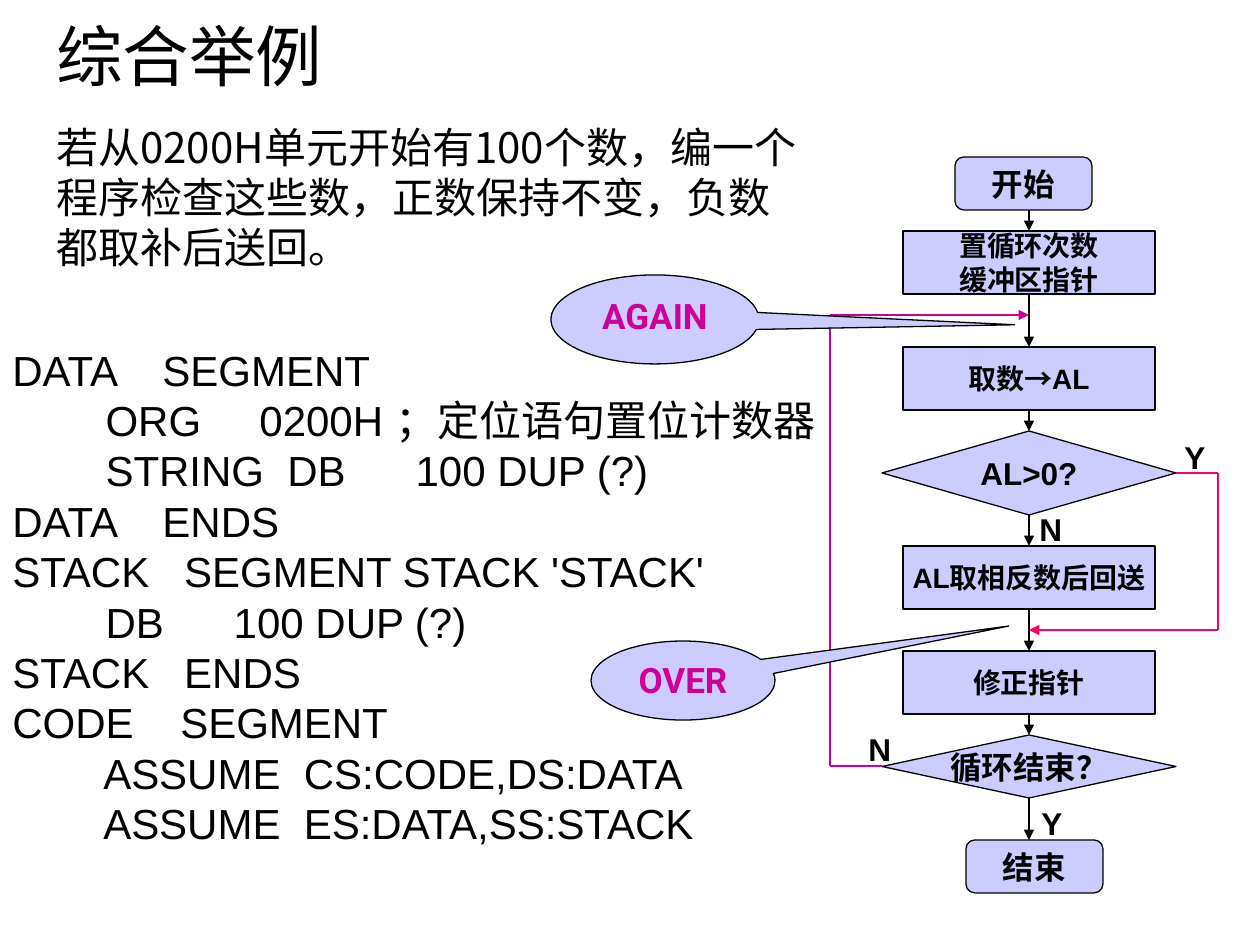
from itertools import pairwise

from lxml.etree import SubElement
from pptx import Presentation
from pptx.dml.color import RGBColor
from pptx.enum.shapes import MSO_CONNECTOR, MSO_SHAPE
from pptx.enum.text import MSO_ANCHOR, PP_ALIGN
from pptx.oxml.ns import qn
from pptx.util import Pt

PX = 914400 / 126
BLACK, LILAC, PURPLE, PINK = "000000", "CCCCFF", "CC0099", "FF0066"
CJK_FONT = "Noto Sans CJK JP"
AXIS = 1029

CODE = """DATA    SEGMENT
        ORG     0200H ；定位语句置位计数器
        STRING  DB      100 DUP (?)
DATA    ENDS
STACK   SEGMENT STACK 'STACK'
        DB      100 DUP (?)
STACK   ENDS
CODE    SEGMENT
        ASSUME  CS:CODE,DS:DATA
        ASSUME  ES:DATA,SS:STACK"""

TERMINAL = MSO_SHAPE.FLOWCHART_ALTERNATE_PROCESS
PROCESS = MSO_SHAPE.FLOWCHART_PROCESS
DECISION = MSO_SHAPE.FLOWCHART_DECISION

# kind, left, top, width, height, text, size
STEPS = [
    (TERMINAL, 955, 157, 137, 53, "开始", 18),
    (PROCESS, 903, 231, 252, 63, "置循环次数\n缓冲区指针", 16),
    (PROCESS, 903, 347, 252, 63, "取数→AL", 16),
    (DECISION, 882, 431, 294, 84, "AL>0?", 18),
    (PROCESS, 903, 546, 252, 63, "AL取相反数后回送", 16),
    (PROCESS, 903, 651, 252, 63, "修正指针", 16),
    (DECISION, 882, 735, 294, 63, "循环结束？", 18),
    (TERMINAL, 966, 840, 137, 53, "结束", 18),
]
LABELS = [("Y", 1172, 432), ("N", 1027, 504), ("N", 856, 724), ("Y", 1029, 798)]


def emu(*lengths):
    return [round(length * PX) for length in lengths]


def color(value):
    return RGBColor.from_string(value)


def write(shape, text, size, font="Arial", ink=BLACK, bold=False,
          align=PP_ALIGN.LEFT, anchor=MSO_ANCHOR.TOP, wrap=True):
    """Fill a shape with one paragraph per line of text."""
    frame = shape.text_frame
    frame.word_wrap = wrap
    frame.vertical_anchor = anchor
    for index, line in enumerate(text.split("\n")):
        para = frame.add_paragraph() if index else frame.paragraphs[0]
        para.alignment = align
        para.line_spacing = Pt(size * 1.2)
        span = para.add_run()
        span.text = line
        span.font.name = font
        span.font.size = Pt(size)
        span.font.bold = bold
        span.font.color.rgb = color(ink)
        SubElement(span.font._element, qn("a:ea"), typeface=CJK_FONT)


def add_text(page, text, left, top, width, height, **style):
    box = page.shapes.add_textbox(*emu(left, top, width, height))
    write(box, text, **style)


def add_node(page, kind, left, top, width, height):
    node = page.shapes.add_shape(kind, *emu(left, top, width, height))
    node.shadow.inherit = False
    node.fill.solid()
    node.fill.fore_color.rgb = color(LILAC)
    node.line.color.rgb = color(BLACK)
    node.line.width = Pt(0.75)
    return node


def add_route(page, points, ink=BLACK):
    """Join the points with straight lines, ending in an arrowhead."""
    for start, end in pairwise(points):
        line = page.shapes.add_connector(MSO_CONNECTOR.STRAIGHT, *emu(*start, *end))
        line.line.color.rgb = color(ink)
        line.line.width = Pt(0.75)
        properties = line._element.spPr
        SubElement(properties, qn("a:effectLst"))
    SubElement(properties.find(qn("a:ln")), qn("a:tailEnd"), type="triangle")


def add_callout(page, text, left, top, width, height, pointer):
    callout = add_node(page, MSO_SHAPE.OVAL_CALLOUT, left, top, width, height)
    callout.adjustments[0], callout.adjustments[1] = pointer
    write(callout, text, 20, font="Roboto", ink=PURPLE, bold=True,
          align=PP_ALIGN.CENTER)


def add_flowchart(page):
    for *place, text, size in STEPS:
        write(add_node(page, *place), text, size, bold=True, wrap=False,
              align=PP_ALIGN.CENTER, anchor=MSO_ANCHOR.MIDDLE)
    for upper, lower in pairwise(STEPS):
        add_route(page, [(AXIS, upper[2] + upper[4]), (AXIS, lower[2])])
    add_route(page, [(1176, 473), (1218, 473), (1218, 630), (AXIS, 630)], PINK)
    add_route(page, [(882, 766), (830, 766), (830, 315), (AXIS, 315)], PURPLE)
    for text, left, top in LABELS:
        add_text(page, text, left, top, 46, 50, size=18, bold=True, wrap=False)


def main():
    deck = Presentation()
    deck.slide_width, deck.slide_height = emu(1260, 945)
    page = deck.slides.add_slide(deck.slide_layouts[6])
    add_text(page, "综合举例", 44, -24, 1134, 158, size=38, anchor=MSO_ANCHOR.MIDDLE)
    add_text(page, CODE, 0, 338, 848, 542, size=24)
    add_text(page, "若从0200H单元开始有100个数，编一个程序检查这些数，"
             "正数保持不变，负数都取补后送回。", 44, 115, 775, 164,
             size=24, font=CJK_FONT)
    add_flowchart(page)
    add_callout(page, "AGAIN", 551, 275, 208, 89, (1.73, 0.06))
    add_callout(page, "OVER", 591, 641, 184, 79, (1.77, -0.69))
    deck.save("out.pptx")


if __name__ == "__main__":
    main()
